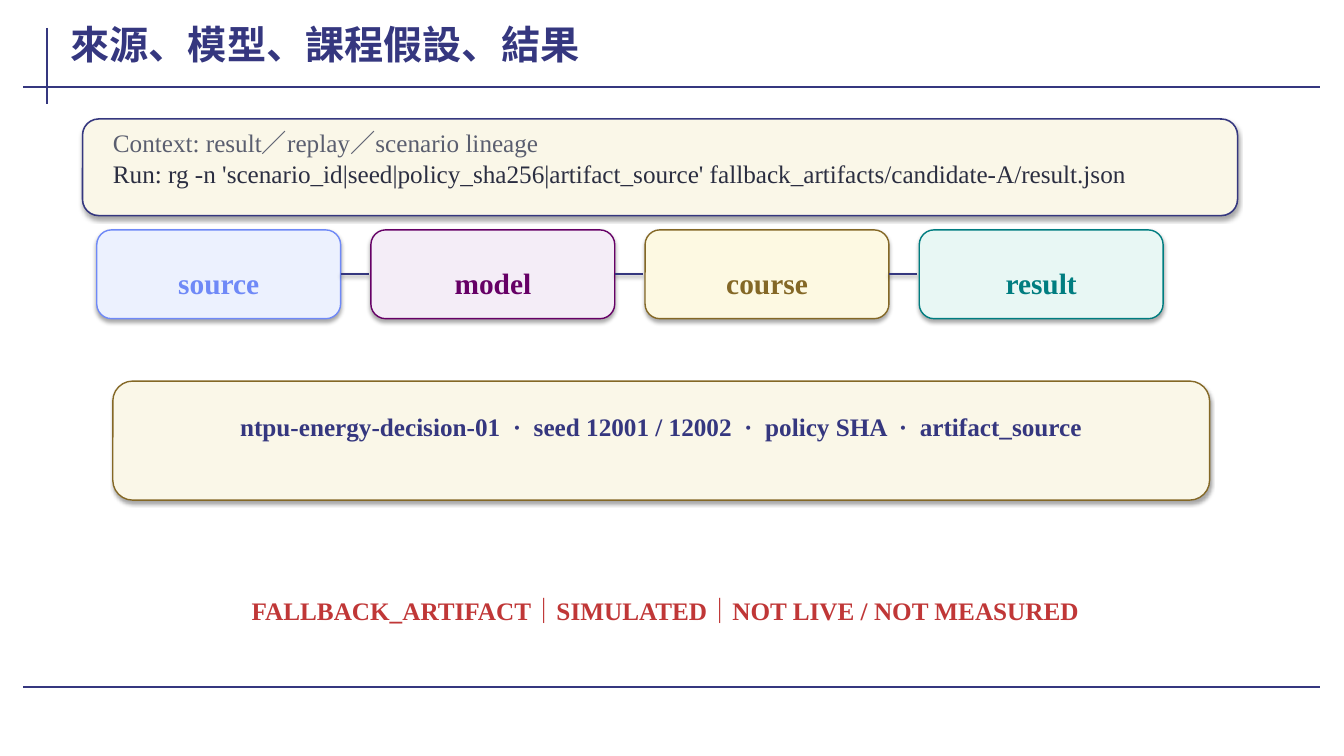
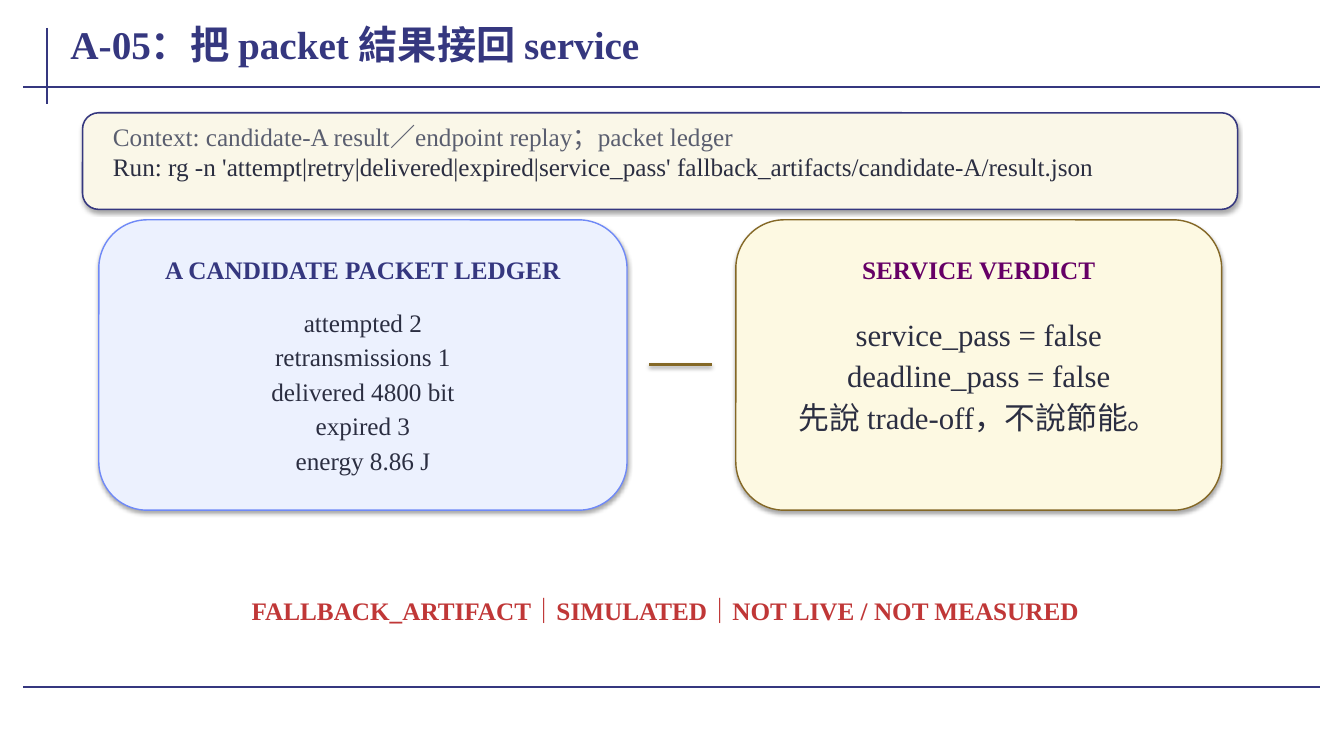
from dataclasses import dataclass

from pptx import Presentation
from pptx.dml.color import RGBColor
from pptx.enum.shapes import MSO_CONNECTOR as Connector, MSO_SHAPE as Shape
from pptx.enum.text import MSO_ANCHOR as Anchor, MSO_AUTO_SIZE as AutoSize, PP_ALIGN as Align
from pptx.oxml.ns import qn
from pptx.oxml.xmlchemy import OxmlElement
from pptx.util import Pt


@dataclass(frozen=True)
class Theme:
    font: str = "Times New Roman"
    title_size: int = 28
    verdict_size: int = 22
    label_size: int = 21
    text_size: int = 18
    line_spacing: float = 1.05
    navy: str = "35377F"
    ink: str = "2B2E41"
    grey: str = "5A5E6F"
    red: str = "C03737"
    blue: str = "6F89F7"
    purple: str = "660066"
    gold: str = "846826"
    teal: str = "007D80"
    cream: str = "FAF7E8"
    pale_blue: str = "ECF1FE"
    pale_purple: str = "F4EDF7"
    pale_gold: str = "FDF9E2"
    pale_teal: str = "E8F7F4"


class Lesson:
    """Draw lesson slides in one style, with all lengths in points."""

    def __init__(self, theme):
        self.theme = theme
        self.deck = Presentation()
        self.deck.slide_width, self.deck.slide_height = Pt(960), Pt(540)
        self.page = None

    def add_page(self, title):
        self.page = self.deck.slides.add_slide(self.deck.slide_layouts[5])
        for start, end in (((33.8, 20), (33.8, 74)), ((16.6, 62), (943, 62)), ((16.6, 491), (943, 491))):
            self.line(start, end, self.theme.navy)
        box = self.page.shapes.title
        box.left, box.top, box.width, box.height = Pt(44.6), Pt(10.8), Pt(899.3), Pt(44.6)
        self.fill_text(box.text_frame, [title], self.theme.title_size, self.theme.navy, True, Align.LEFT)
        box.text_frame.auto_size = AutoSize.NONE
        self.text((66.2, 422, 818, 21.6), ["FALLBACK_ARTIFACT｜SIMULATED｜NOT LIVE / NOT MEASURED"],
                  self.theme.red, bold=True)

    def fill_text(self, frame, lines, size, color, bold, align):
        frame.word_wrap = True
        frame.vertical_anchor = Anchor.TOP
        frame.margin_left = frame.margin_right = Pt(5.76)
        frame.margin_top, frame.margin_bottom = Pt(2.16), Pt(1.44)
        frame.text = "\n".join(lines)
        for para in frame.paragraphs:
            para.alignment = align
            para.space_before, para.space_after = Pt(0), Pt(2)
            para.line_spacing = self.theme.line_spacing
            para.font.name = self.theme.font
            para.font.size = Pt(size)
            para.font.bold = bold
            para.font.color.rgb = RGBColor.from_string(color)

    def text(self, area, lines, color, size=None, bold=False, align=Align.CENTER):
        box = self.page.shapes.add_textbox(*map(Pt, area))
        self.fill_text(box.text_frame, lines, size or self.theme.text_size, color, bold, align)
        box.text_frame.auto_size = AutoSize.SHAPE_TO_FIT_TEXT

    def effects(self, shape, opacity=0, distance=0):
        effects = OxmlElement("a:effectLst")
        if opacity:
            shadow = OxmlElement("a:outerShdw")
            for name, value in (("blurRad", Pt(3.1)), ("dist", Pt(distance)), ("dir", 90 * 60000)):
                shadow.set(name, str(int(value)))
            shadow.set("rotWithShape", "0")
            color = OxmlElement("a:srgbClr")
            color.set("val", "000000")
            alpha = OxmlElement("a:alpha")
            alpha.set("val", str(opacity * 1000))
            color.append(alpha)
            shadow.append(color)
            effects.append(shadow)
        properties = shape._element.find(qn("p:spPr"))
        properties.append(effects)

    def panel(self, area, fill, outline, width=1):
        panel = self.page.shapes.add_shape(Shape.ROUNDED_RECTANGLE, *map(Pt, area))
        panel.fill.solid()
        panel.fill.fore_color.rgb = RGBColor.from_string(fill)
        panel.line.color.rgb = RGBColor.from_string(outline)
        panel.line.width = Pt(width)
        self.effects(panel, 35, 1.8)
        return panel

    def line(self, start, end, color, width=1.5, shadow=False, source=None):
        line = self.page.shapes.add_connector(Connector.STRAIGHT, *map(Pt, (*start, *end)))
        line.line.color.rgb = RGBColor.from_string(color)
        line.line.width = Pt(width)
        self.effects(line, 38 if shadow else 0, 1.6)
        if source is not None:
            line.begin_connect(source, 3)

    def command(self, top, context, run):
        self.panel((59, top, 825, 69), self.theme.cream, self.theme.navy, 1.1)
        self.text((74.9, top + 2.9, 790.6, 18.7), [f"Context: {context}"], self.theme.grey, align=Align.LEFT)
        self.text((74.9, top + 24.5, 790.6, 41.8), [f"Run: {run}"], self.theme.ink, align=Align.LEFT)

    def chain(self, stages):
        top, width, height, pitch = 164.2, 174.2, 63.4, 195.84
        for index, (label, fill, color) in enumerate(stages):
            left = 69.1 + index * pitch
            card = self.panel((left, top, width, height), fill, color)
            self.text((left + 8.6, top + 21.6, width - 17.2, 17.3), [label], color, self.theme.label_size, True)
            if index < len(stages) - 1:
                right, middle = left + width, top + height / 2
                self.line((right, middle), (right + 20.2, middle), self.theme.navy, shadow=True, source=card)

    def banner(self, message):
        self.panel((80.6, 272.2, 783.4, 85), self.theme.cream, self.theme.gold)
        self.text((96.5, 290.9, 751.7, 50.4), [message], self.theme.navy, bold=True)

    def summary(self, left, width, fill, outline, heading, color, lines, size, offset):
        top, inset = 157, 20
        self.panel((left, top, width, 207.4), fill, outline)
        inner = width - 2 * inset
        self.text((left + inset, top + 21.6, inner, 18.7), [heading], color, bold=True)
        self.text((left + inset, top + offset, inner, 82), lines, self.theme.ink, size)


def main():
    theme = Theme()
    lesson = Lesson(theme)

    lesson.add_page("來源、模型、課程假設、結果")
    lesson.command(85, "result／replay／scenario lineage",
                   "rg -n 'scenario_id|seed|policy_sha256|artifact_source' fallback_artifacts/candidate-A/result.json")
    lesson.chain([
        ("source", theme.pale_blue, theme.blue),
        ("model", theme.pale_purple, theme.purple),
        ("course", theme.pale_gold, theme.gold),
        ("result", theme.pale_teal, theme.teal),
    ])
    lesson.banner("ntpu-energy-decision-01  ·  seed 12001 / 12002  ·  policy SHA  ·  artifact_source")

    lesson.add_page("A-05：把 packet 結果接回 service")
    lesson.command(80.6, "candidate-A result／endpoint replay；packet ledger",
                   "rg -n 'attempt|retry|delivered|expired|service_pass' fallback_artifacts/candidate-A/result.json")
    lesson.summary(70.6, 377.3, theme.pale_blue, theme.blue, "A CANDIDATE PACKET LEDGER", theme.navy,
                   ["attempted 2", "retransmissions 1", "delivered 4800 bit", "expired 3", "energy 8.86 J"],
                   theme.text_size, 59)
    lesson.line((463.7, 260.6), (508.3, 260.6), theme.gold, 2, shadow=True)
    lesson.summary(525.6, 347, theme.pale_gold, theme.gold, "SERVICE VERDICT", theme.purple,
                   ["service_pass = false", "deadline_pass = false", "先說 trade-off，不說節能。"],
                   theme.verdict_size, 64.8)

    lesson.deck.save("out.pptx")


if __name__ == "__main__":
    main()
